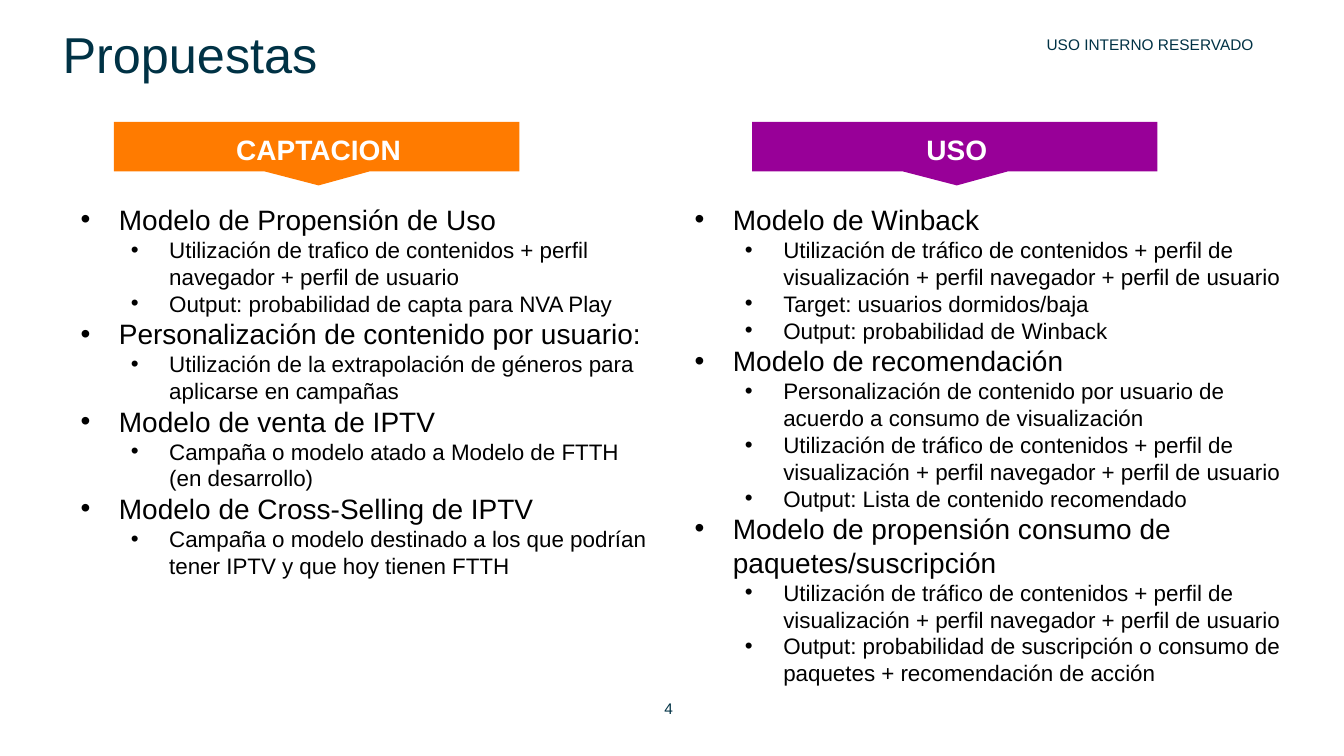
from dataclasses import dataclass
from pptx import Presentation
from pptx.dml.color import RGBColor as Color
from pptx.enum.text import PP_ALIGN as Align, MSO_ANCHOR as Anchor
from pptx.oxml.ns import qn
from pptx.util import Inches, Pt
from lxml.etree import SubElement as Sub


@dataclass(frozen=True)
class Theme:
    font: str = "Arial"
    navy: str = "003245"
    black: str = "000000"
    white: str = "FFFFFF"
    orange: str = "FF7B00"
    purple: str = "980098"
    title: int = 36
    head: int = 20
    body: int = 16
    small: int = 11


def write(para, text, size, color, bold=False, align=Align.LEFT):
    para.alignment = align
    run = para.add_run()
    run.text = text
    font = run.font
    font.name = Theme.font
    font.size = Pt(size)
    font.bold = bold
    font.color.rgb = Color.from_string(color)


class Page:
    def __init__(self, deck, theme):
        self.theme = theme
        self.slide = deck.slides.add_slide(deck.slide_layouts[5])
        self.shapes = self.slide.shapes

    def title(self, text, left, top, width, height):
        box = self.shapes.title
        box.left, box.top = Inches(left), Inches(top)
        box.width, box.height = Inches(width), Inches(height)
        frame = box.text_frame
        frame.vertical_anchor = Anchor.BOTTOM
        write(frame.paragraphs[0], text, self.theme.title, self.theme.navy)

    def frame(self, left, top, width, height, pad=(0, 0), wrap=True):
        box = self.shapes.add_textbox(*map(Inches, (left, top, width, height)))
        frame = box.text_frame
        frame.word_wrap = wrap
        frame.margin_left = frame.margin_right = Inches(pad[0])
        frame.margin_top = frame.margin_bottom = Inches(pad[1])
        return frame

    def label(self, text, *place, pad=(0, 0), wrap=True, **form):
        write(self.frame(*place, pad=pad, wrap=wrap).paragraphs[0], text, **form)

    def banner(self, text, left, color):
        top, low, tip = 1.21, 1.7, 1.84
        mid, right = left + 2.03, left + 4.02
        points = [(right, top), (right, low), (mid + 0.51, low),
                  (mid, tip), (mid - 0.54, low), (left, low)]
        build = self.shapes.build_freeform(Inches(left), Inches(top))
        build.add_line_segments([(Inches(x), Inches(y)) for x, y in points])
        shape = build.convert_to_shape()
        shape.shadow.inherit = False
        shape.fill.solid()
        shape.fill.fore_color.rgb = Color.from_string(color)
        shape.line.fill.background()
        self.label(text, mid - 1, 1.31, 2, 0.34, size=self.theme.head,
                   color=self.theme.white, bold=True, align=Align.CENTER)

    def bullets(self, groups, *place):
        frame = self.frame(*place, pad=(0.1, 0.05))
        rows = [(level, text) for head, subs in groups
                for level, text in [(0, head)] + [(1, sub) for sub in subs]]
        for index, (level, text) in enumerate(rows):
            para = frame.add_paragraph() if index else frame.paragraphs[0]
            para.level = level
            props = para._p.get_or_add_pPr()
            props.set("marL", str(Inches(0.38 + 0.5 * level)))
            props.set("indent", str(Inches(-0.38)))
            Sub(props, qn("a:buFont")).set("typeface", self.theme.font)
            Sub(props, qn("a:buChar")).set("char", "•")
            size = self.theme.body if level else self.theme.head
            write(para, text, size, self.theme.black)


def main():
    deck = Presentation()
    deck.slide_width, deck.slide_height = Inches(13.33), Inches(7.5)
    theme = Theme()
    page = Page(deck, theme)
    traffic = ("Utilización de tráfico de contenidos + perfil de visualización"
               " + perfil navegador + perfil de usuario")
    gain = [
        ("Modelo de Propensión de Uso", [
            "Utilización de trafico de contenidos + perfil navegador"
            " + perfil de usuario",
            "Output: probabilidad de capta para NVA Play"]),
        ("Personalización de contenido por usuario:", [
            "Utilización de la extrapolación de géneros para aplicarse"
            " en campañas"]),
        ("Modelo de venta de IPTV", [
            "Campaña o modelo atado a Modelo de FTTH (en desarrollo)"]),
        ("Modelo de Cross-Selling de IPTV", [
            "Campaña o modelo destinado a los que podrían tener IPTV"
            " y que hoy tienen FTTH"]),
    ]
    usage = [
        ("Modelo de Winback", [
            traffic,
            "Target: usuarios dormidos/baja",
            "Output: probabilidad de Winback"]),
        ("Modelo de recomendación", [
            "Personalización de contenido por usuario de acuerdo a consumo"
            " de visualización",
            traffic,
            "Output: Lista de contenido recomendado"]),
        ("Modelo de propensión consumo de paquetes/suscripción", [
            traffic,
            "Output: probabilidad de suscripción o consumo de paquetes"
            " + recomendación de acción"]),
    ]
    page.title("Propuestas", 0.52, 0.17, 12, 0.71)
    page.banner("CAPTACION", 1.13, theme.orange)
    page.banner("USO", 7.46, theme.purple)
    page.bullets(gain, 0.7, 1.96, 5.82, 3.87)
    page.bullets(usage, 6.79, 1.96, 6.15, 4.95)
    small = dict(size=theme.small, color=theme.navy)
    page.label("USO INTERNO RESERVADO", 10.25, 0.28, 2.75, 0.64,
               pad=(0.13, 0.07), **small)
    page.label("4", 6.59, 6.94, 0.31, 0.19, wrap=False, **small)
    deck.save("out.pptx")


if __name__ == "__main__":
    main()
